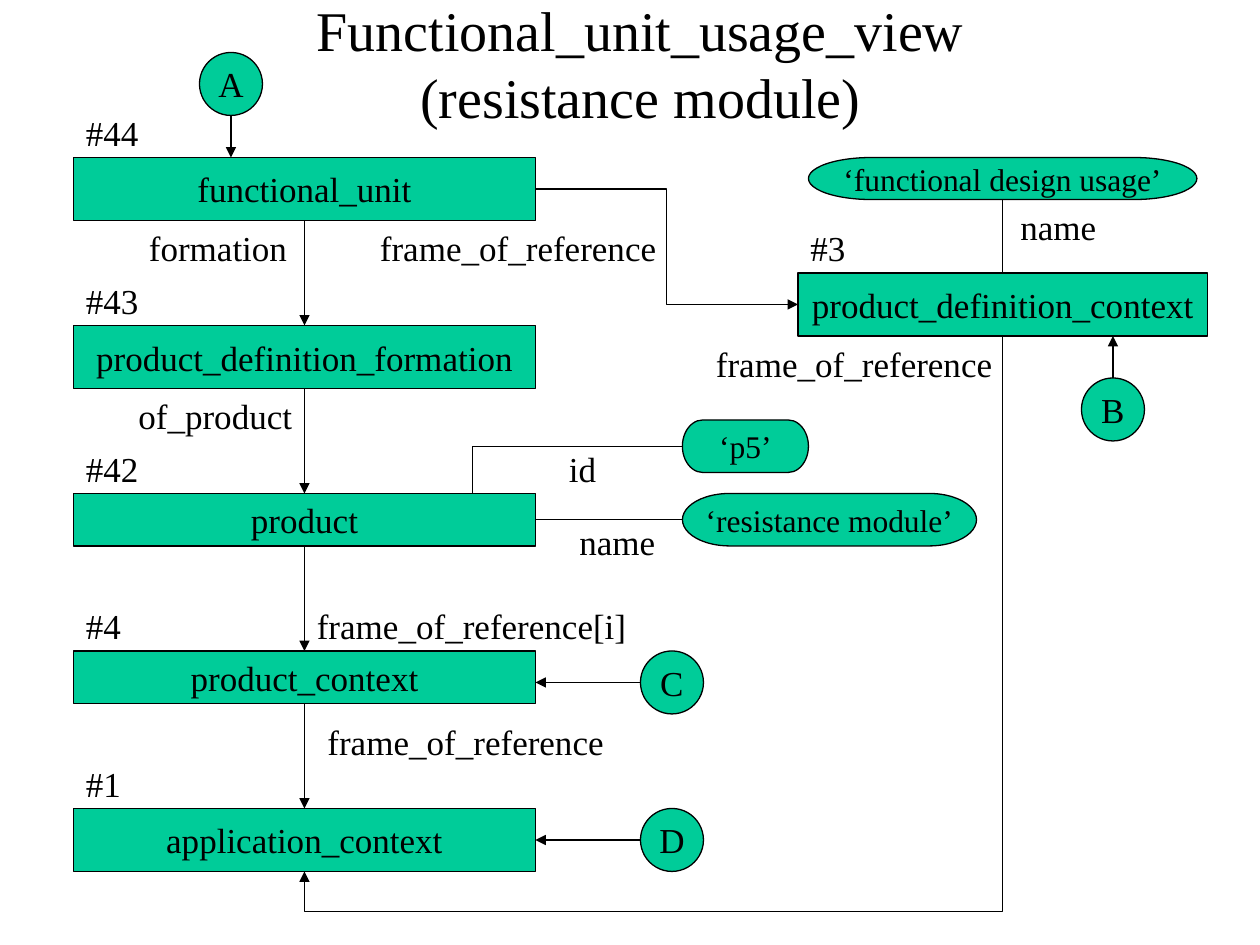
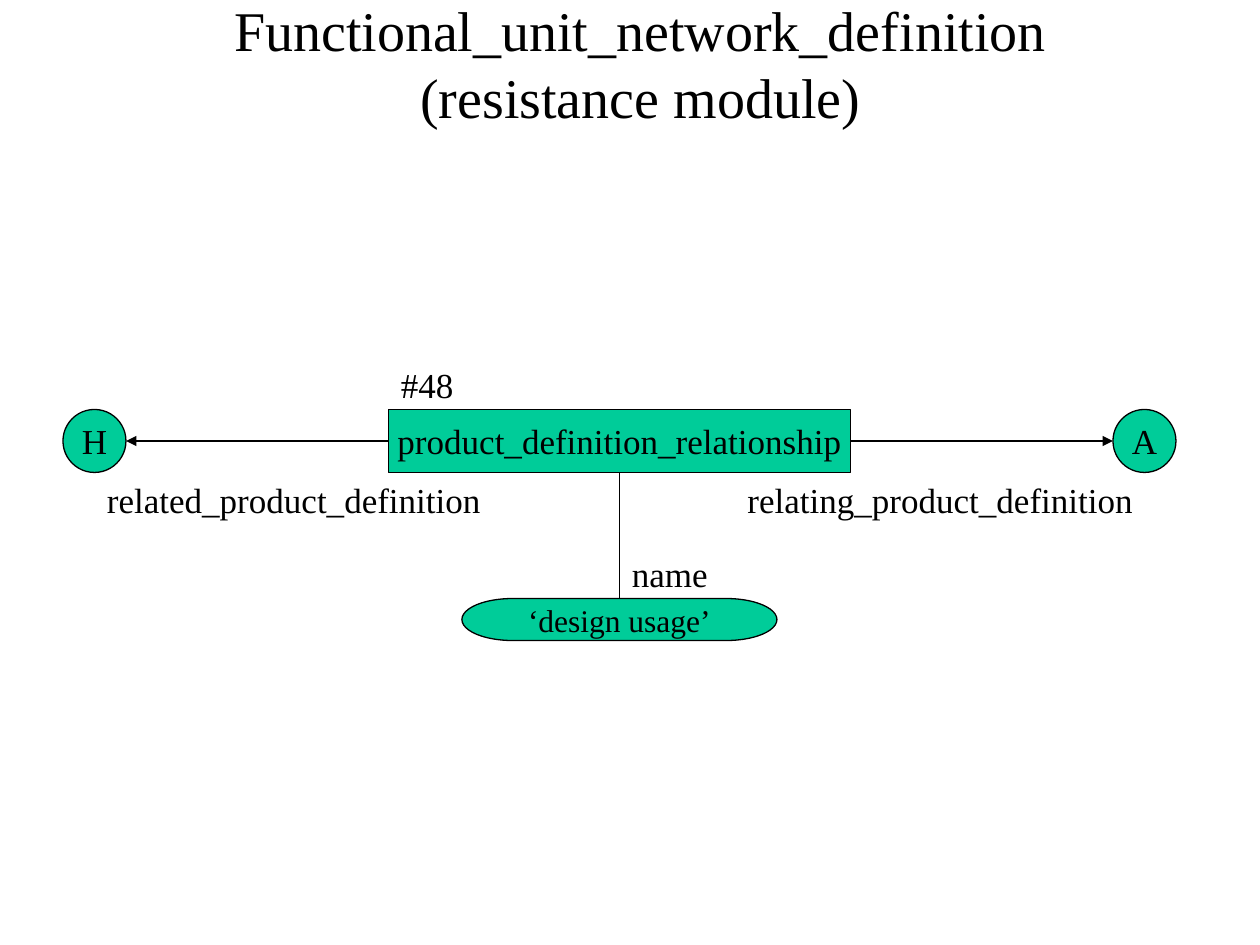
from lxml import etree
from pptx import Presentation
from pptx.dml.color import RGBColor
from pptx.enum.shapes import MSO_CONNECTOR, MSO_SHAPE
from pptx.enum.text import MSO_ANCHOR, MSO_AUTO_SIZE, PP_ALIGN
from pptx.oxml.ns import qn
from pptx.util import Cm, Pt

RECT = MSO_SHAPE.RECTANGLE
PILL = MSO_SHAPE.FLOWCHART_TERMINATOR
DISC = MSO_SHAPE.FLOWCHART_CONNECTOR
STRAIGHT = MSO_CONNECTOR.STRAIGHT
ELBOW = MSO_CONNECTOR.ELBOW
MIDDLE = MSO_ANCHOR.MIDDLE
CENTER = PP_ALIGN.CENTER
NO_FIT = MSO_AUTO_SIZE.NONE
GROW = MSO_AUTO_SIZE.SHAPE_TO_FIT_TEXT

TOP, LEFT, BOTTOM, RIGHT = range(4)
FONT = "Times New Roman"
INK = "000000"
GREEN = "00CC99"
UNIT = 2.54 / 12
ROW_X, ROW_W = 7, 44
DISC_W = 6
FRAME_W = 28.7
NAME_W = 9.6


def color(code):
    return RGBColor.from_string(code)


def grid(*cells):
    return [Cm(cell * UNIT) for cell in cells]


def write(para, text, size):
    run = para.add_run()
    run.text = text
    run.font.name = FONT
    run.font.size = Pt(size)
    run.font.color.rgb = color(INK)


def add_page(deck, *lines):
    slide = deck.slides.add_slide(deck.slide_layouts[5])
    title = slide.shapes.title
    title.left, title.top, title.width, title.height = grid(10, 2, 102, 8)
    frame = title.text_frame
    frame.auto_size = NO_FIT
    frame.vertical_anchor = MIDDLE
    para = frame.paragraphs[0]
    para.alignment = CENTER
    for pos, line in enumerate(lines):
        if pos:
            para.add_line_break()
        write(para, line, 32)
    return slide


def add_node(slide, kind, text, x, y, w, h, size=20):
    node = slide.shapes.add_shape(kind, *grid(x, y, w, h))
    node.shadow.inherit = False
    node.fill.solid()
    node.fill.fore_color.rgb = color(GREEN)
    node.line.color.rgb = color(INK)
    node.line.width = Pt(0.75)
    frame = node.text_frame
    frame.word_wrap = False
    frame.vertical_anchor = MIDDLE
    para = frame.paragraphs[0]
    para.alignment = CENTER
    write(para, text, size)
    return node


def add_label(slide, text, x, y, w):
    box = slide.shapes.add_textbox(*grid(x, y, w, 5.25))
    frame = box.text_frame
    frame.word_wrap = False
    frame.auto_size = GROW
    write(frame.paragraphs[0], text, 20)


def add_box(slide, mark, text, x, y, w, h):
    add_label(slide, mark, x, y - 5, 2.5 + 1.65 * len(mark))
    return add_node(slide, RECT, text, x, y, w, h)


def add_disc(slide, text, x, y):
    return add_node(slide, DISC, text, x, y, DISC_W, DISC_W)


def add_pill(slide, text, x, y, w, h):
    return add_node(slide, PILL, text, x, y, w, h, 18)


def add_line(slide, x1, y1, x2, y2, tip=True, kind=STRAIGHT):
    line = slide.shapes.add_connector(kind, *grid(x1, y1, x2, y2))
    line.line.color.rgb = color(INK)
    line.line.width = Pt(0.75)
    if tip:
        tail = etree.SubElement(line.line._get_or_add_ln(), qn("a:tailEnd"))
        tail.set("type", "triangle")
    etree.SubElement(line._element.spPr, qn("a:effectLst"))
    return line


def join(slide, start, side, end, port, tip=True, kind=STRAIGHT):
    line = add_line(slide, 0, 0, 0, 0, tip, kind)
    line.begin_connect(start, side)
    line.end_connect(end, port)


def add_loop(slide, x1, y1, x2, y2, low):
    w, h = y2 - y1, x1 - x2
    x, y = (x1 + x2 - w) / 2, (y1 + y2 - h) / 2
    line = add_line(slide, x, y, x + w, y + h, kind=ELBOW)
    props = line._element.spPr
    props.find(qn("a:xfrm")).set("rot", str(90 * 60000))
    guides = props.find(qn("a:prstGeom")).find(qn("a:avLst"))
    guide = etree.SubElement(guides, qn("a:gd"))
    guide.set("name", "adj1")
    guide.set("fmla", f"val {round((low - y1) / w * 100000)}")


def draw_view(deck):
    slide = add_page(deck, "Functional_unit_usage_view", "(resistance module)")
    rows = [
        ("#44", "functional_unit", 15, 6),
        ("#43", "product_definition_formation", 31, 6),
        ("#42", "product", 47, 5),
        ("#4", "product_context", 62, 5),
        ("#1", "application_context", 77, 6),
    ]
    chain = [add_box(slide, mark, text, ROW_X, y, ROW_W, h)
             for mark, text, y, h in rows]
    for upper, lower in zip(chain, chain[1:]):
        join(slide, upper, BOTTOM, lower, TOP)
    unit, _, product, _, app = chain

    context = add_box(slide, "#3", "product_definition_context", 76, 26, 39, 6)
    join(slide, unit, RIGHT, context, LEFT, kind=ELBOW)
    add_loop(slide, 95.5, 32, 29, 83, 86.82)

    usage = add_pill(slide, "‘functional design usage’", 77, 15, 37, 4)
    module = add_pill(slide, "‘resistance module’", 65, 47, 28, 5)
    part = add_pill(slide, "‘p5’", 65, 40, 12, 5)
    join(slide, usage, BOTTOM, context, TOP, False)
    join(slide, product, RIGHT, module, LEFT, False)
    add_line(slide, 45, 47, 45, 42.5, False)
    add_line(slide, 45, 42.5, 65, 42.5, False).end_connect(part, LEFT)

    for text, x, y in [("A", 19, 5), ("B", 103, 36), ("C", 61, 62), ("D", 61, 77)]:
        add_disc(slide, text, x, y)
    add_line(slide, 22, 11, 22, 15)
    add_line(slide, 106, 36, 106, 32)
    add_line(slide, 61, 65, 51, 65)
    add_line(slide, 61, 80, 51, 80).end_connect(app, RIGHT)

    for text, x, y, w in [
        ("formation", 13, 21, 15.6),
        ("of_product", 12, 37, 17.1),
        ("frame_of_reference[i]", 29, 57, 31.9),
        ("frame_of_reference", 30, 68, FRAME_W),
        ("frame_of_reference", 35, 21, FRAME_W),
        ("frame_of_reference", 67, 32, FRAME_W),
        ("name", 96, 19, NAME_W),
        ("name", 54, 49, NAME_W),
        ("id", 53, 42, 5),
    ]:
        add_label(slide, text, x, y, w)


def draw_net(deck):
    slide = add_page(deck, "Functional_unit_network_definition", "(resistance module)")
    link = add_box(slide, "#48", "product_definition_relationship", 37, 39, ROW_W, 6)
    usage = add_pill(slide, "‘design usage’", 44, 57, 30, 4)
    join(slide, link, BOTTOM, usage, TOP, False)
    for text, x, start, end, side in [
        ("A", 106, 81, 106, RIGHT),
        ("H", 6, 37, 12, LEFT),
    ]:
        add_disc(slide, text, x, 39)
        add_line(slide, start, 42, end, 42).begin_connect(link, side)
    add_label(slide, "related_product_definition", 9, 45, 38)
    add_label(slide, "relating_product_definition", 70, 45, 39.1)
    add_label(slide, "name", 59, 52, NAME_W)


def main():
    deck = Presentation()
    deck.slide_width, deck.slide_height = Cm(25.4), Cm(19.05)
    draw_view(deck)
    draw_net(deck)
    deck.save("out.pptx")


if __name__ == "__main__":
    main()
